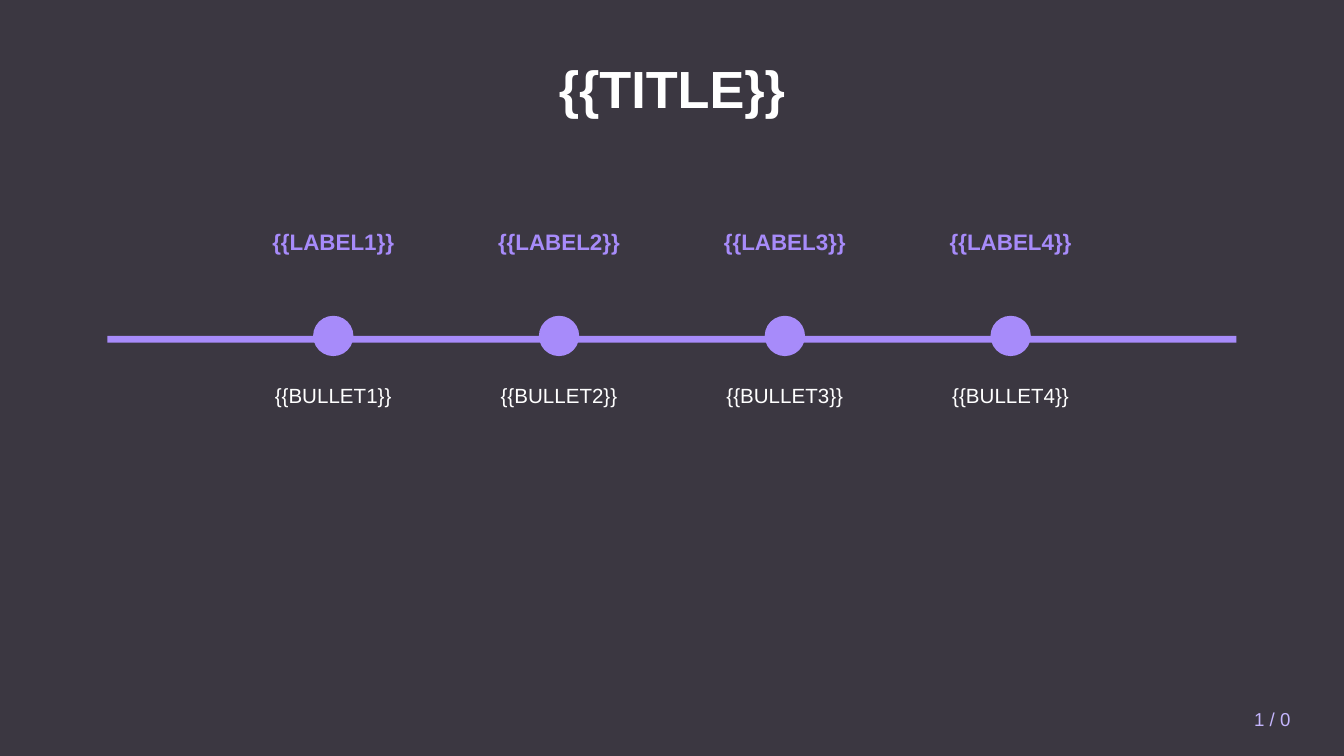
from lxml import etree
from pptx import Presentation
from pptx.dml.color import RGBColor
from pptx.enum.shapes import MSO_SHAPE
from pptx.enum.text import MSO_ANCHOR, MSO_AUTO_SIZE, PP_ALIGN
from pptx.oxml.ns import qn
from pptx.util import Inches, Pt

RECTANGLE, OVAL = MSO_SHAPE.RECTANGLE, MSO_SHAPE.OVAL
TOP, MIDDLE = MSO_ANCHOR.TOP, MSO_ANCHOR.MIDDLE
CENTER, RIGHT = PP_ALIGN.CENTER, PP_ALIGN.RIGHT
NO_AUTOFIT = MSO_AUTO_SIZE.NONE

WIDTH = 10
HEIGHT = WIDTH * 9 / 16
WHITE, DARK, PURPLE, LIGHT_PURPLE = "FFFFFF", "0A0612", "A78BFA", "C4B5FD"


def add_filled_shape(kind, left, top, width, height, color):
    shape = slide.shapes.add_shape(
        kind, Inches(left), Inches(top), Inches(width), Inches(height))
    shape.shadow.inherit = False
    shape.fill.solid()
    shape.fill.fore_color.rgb = RGBColor.from_string(color)
    shape.line.fill.background()
    return shape


def set_text(shape, text, size, color, bold=False, anchor=MIDDLE, align=CENTER):
    frame = shape.text_frame
    frame.word_wrap = True
    frame.auto_size = NO_AUTOFIT
    frame.vertical_anchor = anchor
    paragraph = frame.paragraphs[0]
    paragraph.alignment = align
    run = paragraph.add_run()
    run.text = text
    run.font.name = "Arial"
    run.font.size = Pt(size)
    run.font.bold = bold
    run.font.color.rgb = RGBColor.from_string(color)


presentation = Presentation()
presentation.slide_width = Inches(WIDTH)
presentation.slide_height = Inches(HEIGHT)
slide = presentation.slides.add_slide(presentation.slide_layouts[5])
slide.background.fill.solid()
slide.background.fill.fore_color.rgb = RGBColor.from_string(WHITE)

# Dark overlay at 80 % opacity, placed behind the title
overlay = add_filled_shape(RECTANGLE, 0, 0, WIDTH, HEIGHT, DARK)
overlay_color = overlay.fill._xPr.find(qn("a:solidFill"))[0]
etree.SubElement(overlay_color, qn("a:alpha"), val="80000")
title = slide.shapes.title
title._element.addprevious(overlay._element)

title.left, title.top = Inches(0.5), Inches(0.3)
title.width, title.height = Inches(9), Inches(0.7)
set_text(title, "{{TITLE}}", 28, WHITE, bold=True)

# Timeline with evenly spaced milestones
line_left, line_width = 0.8, 8.4
milestone_count = 4
dot_size, text_width = 0.3, 2
step = line_width / (milestone_count + 1)
add_filled_shape(RECTANGLE, line_left, 2.5, line_width, 0.05, PURPLE)

for number in range(1, milestone_count + 1):
    center = line_left + number * step
    text_left = Inches(center - text_width / 2)
    add_filled_shape(OVAL, center - dot_size / 2, 2.35, dot_size, dot_size, PURPLE)

    label = slide.shapes.add_textbox(
        text_left, Inches(1.5), Inches(text_width), Inches(0.6))
    set_text(label, f"{{{{LABEL{number}}}}}", 12, PURPLE, bold=True)

    bullet = slide.shapes.add_textbox(
        text_left, Inches(2.8), Inches(text_width), Inches(1.5))
    set_text(bullet, f"{{{{BULLET{number}}}}}", 11, WHITE, anchor=TOP)

page_number = slide.shapes.add_textbox(
    Inches(8.5), Inches(5.2), Inches(1.2), Inches(0.3))
set_text(page_number, "1 / 0", 10, LIGHT_PURPLE, align=RIGHT)

presentation.save("out.pptx")
